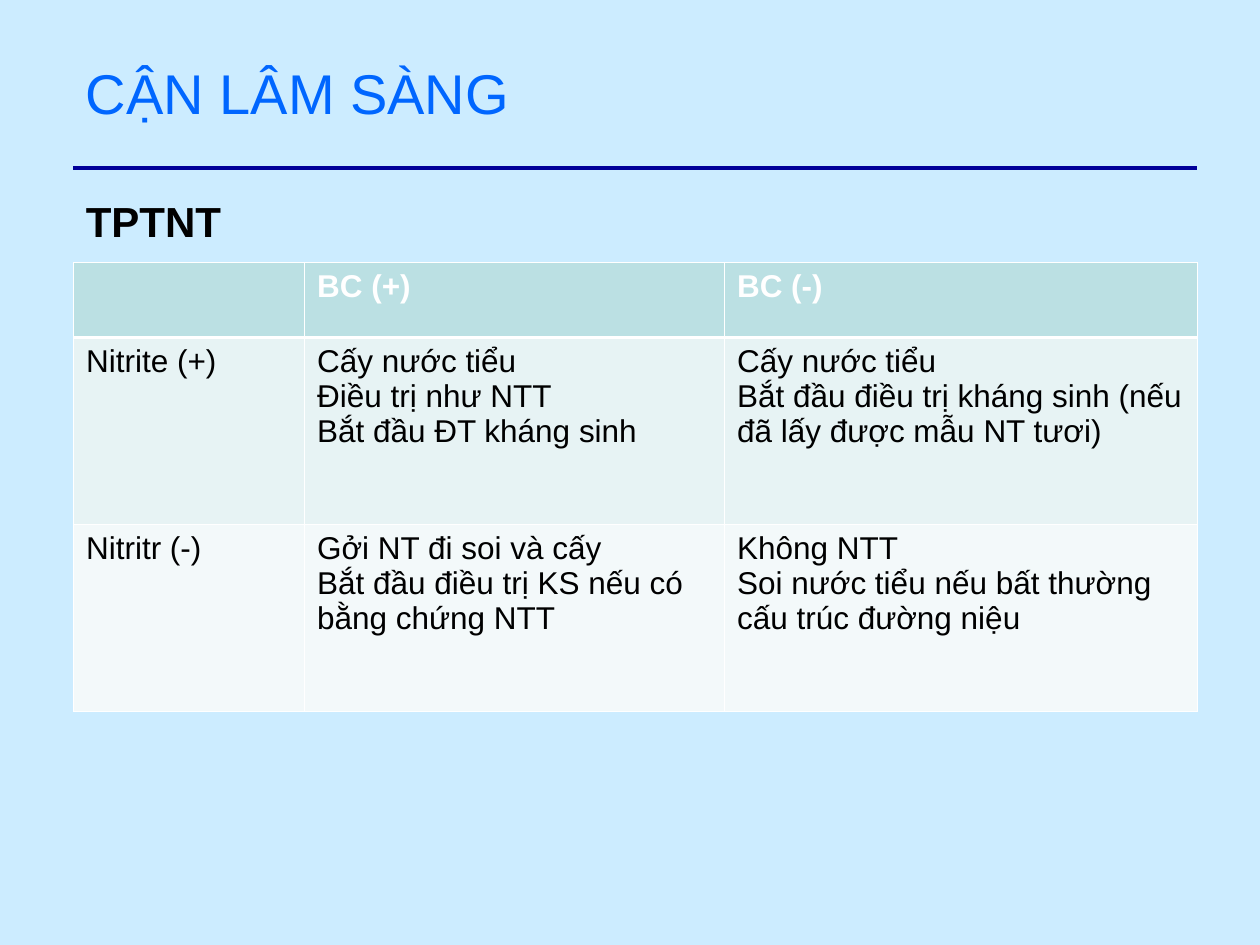
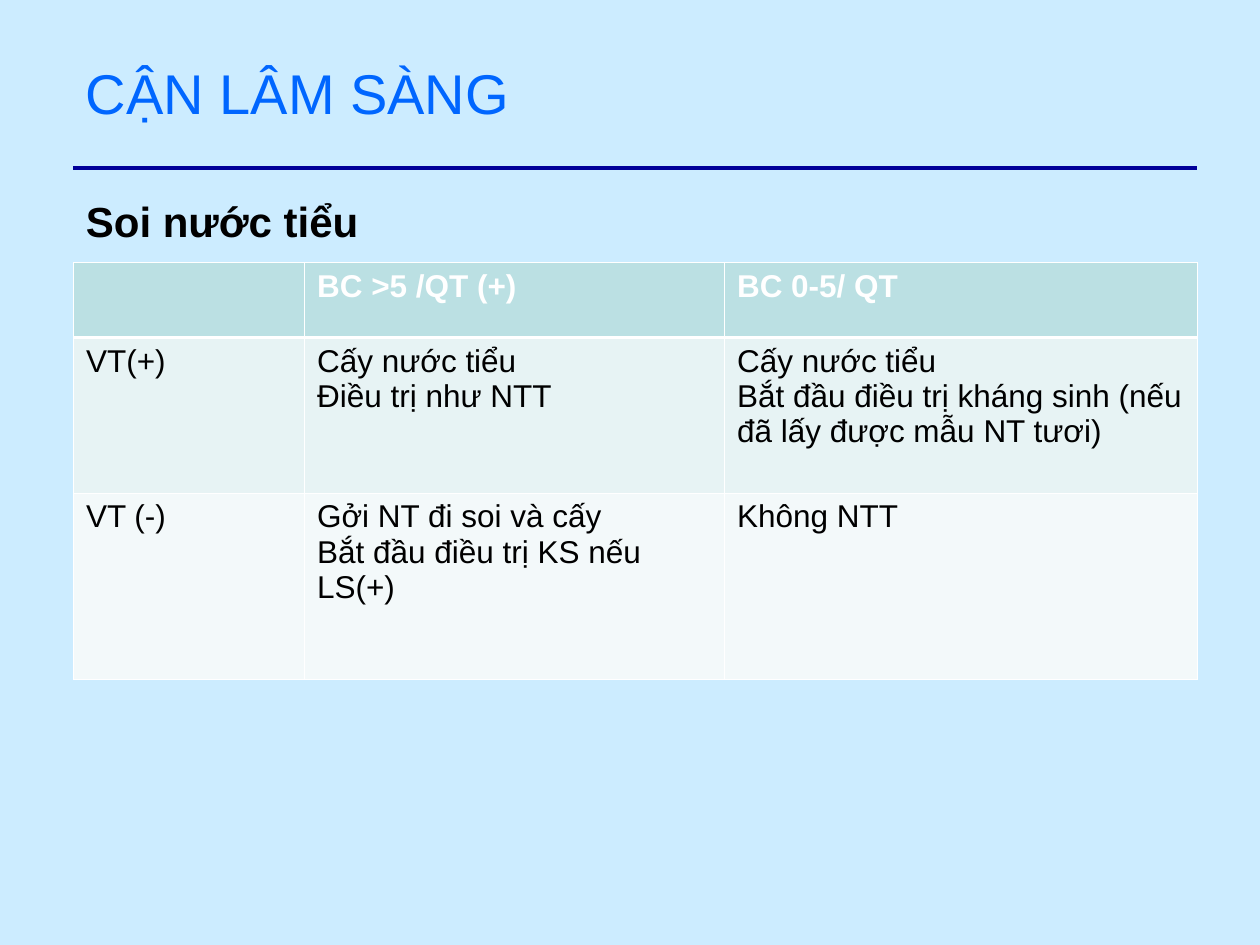
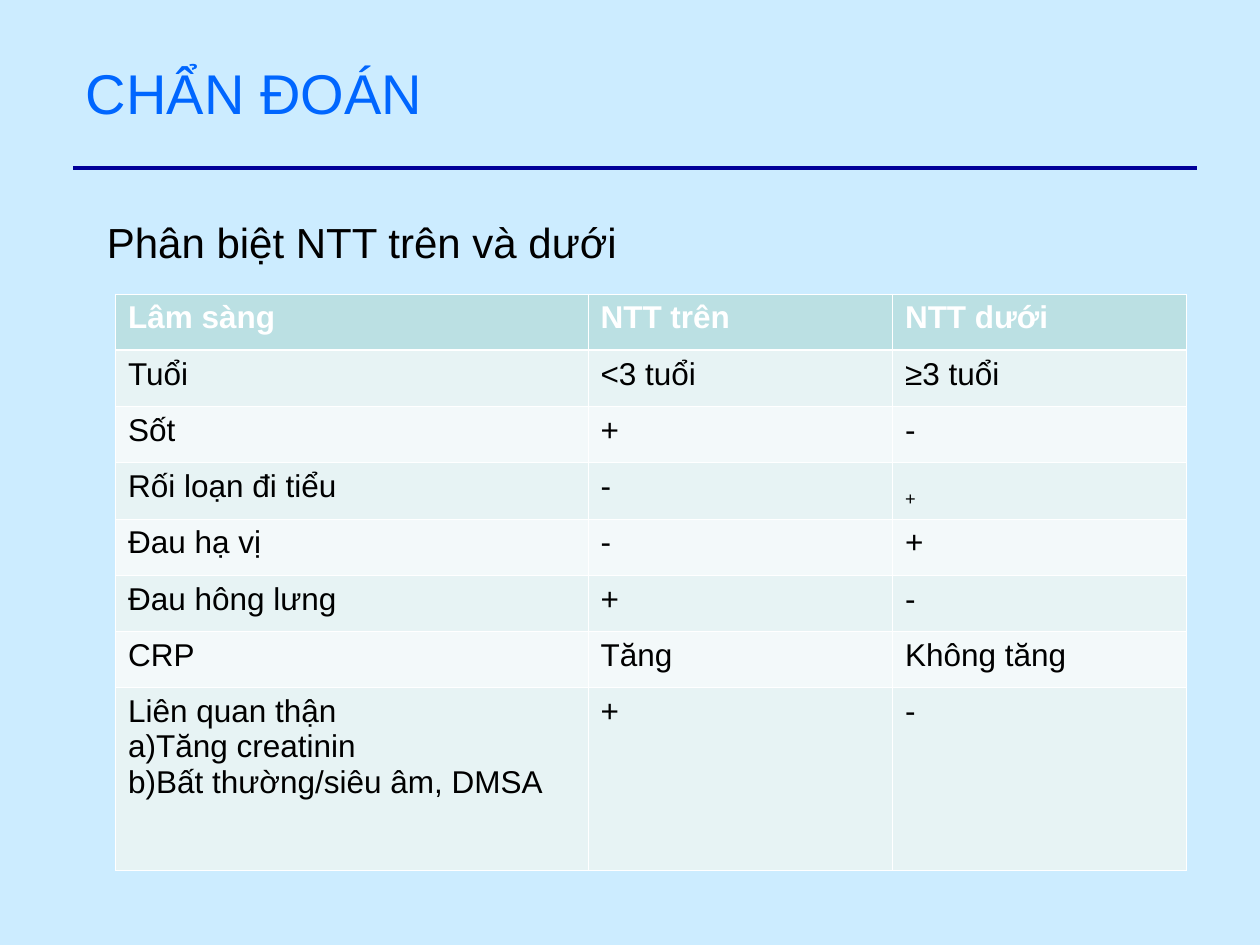
from lxml import etree
from pptx import Presentation
from pptx.dml.color import RGBColor
from pptx.enum import shapes, text
from pptx.oxml import ns
from pptx.util import Inches, Pt

# Palette and type
SKY = RGBColor(0xCC, 0xEC, 0xFF)
NAVY = RGBColor(0x00, 0x00, 0x99)
BLUE = RGBColor(0x00, 0x66, 0xFF)
BLACK = RGBColor(0x00, 0x00, 0x00)
WHITE = RGBColor(0xFF, 0xFF, 0xFF)
TEAL = RGBColor(0xBB, 0xE0, 0xE3)
BANDS = (RGBColor(0xE7, 0xF3, 0xF4), RGBColor(0xF3, 0xF9, 0xFA))
FONT = "Arial"
THIN, THICK = 0.5, 1.5

# Grid: 120 columns by 90 rows, twelve to the inch
LEFT, RIGHT = 7, 114
RULE_ROW = 16
TITLE_BOX = (LEFT, 5, 102, 7.7)
LAB_COLUMNS = (22, 40, 45)
LAB_TABLE_AT = (LEFT, 25)
SUBSCRIPT = {(3, 2)}

URINALYSIS = [
    ["", "BC (+)", "BC (-)"],
    ["Nitrite (+)",
     "Cấy nước tiểu\nĐiều trị như NTT\nBắt đầu ĐT kháng sinh",
     "Cấy nước tiểu\nBắt đầu điều trị kháng sinh (nếu đã lấy được mẫu NT tươi)"],
    ["Nitritr (-)",
     "Gởi NT đi soi và cấy\nBắt đầu điều trị KS nếu có bằng chứng NTT",
     "Không NTT\nSoi nước tiểu nếu bất thường cấu trúc đường niệu"],
]
MICROSCOPY = [
    ["", "BC >5 /QT (+)", "BC 0-5/ QT"],
    ["VT(+)",
     "Cấy nước tiểu\nĐiều trị như NTT",
     "Cấy nước tiểu\nBắt đầu điều trị kháng sinh (nếu đã lấy được mẫu NT tươi)"],
    ["VT (-)",
     "Gởi NT đi soi và cấy\nBắt đầu điều trị KS nếu LS(+)",
     "Không NTT"],
]
DIAGNOSIS = [
    ["Lâm sàng", "NTT trên", "NTT dưới"],
    ["Tuổi", "<3 tuổi", "≥3 tuổi"],
    ["Sốt", "+", "-"],
    ["Rối loạn đi tiểu", "-", "+"],
    ["Đau hạ vị", "-", "+"],
    ["Đau hông lưng", "+", "-"],
    ["CRP", "Tăng", "Không tăng"],
    ["Liên quan thận\na)Tăng creatinin\nb)Bất thường/siêu âm, DMSA", "+", "-"],
]


def grid(*units):
    return [Inches(unit / 12) for unit in units]


def style_text(text_frame, size, color, bold=False):
    for paragraph in text_frame.paragraphs:
        font = paragraph.font
        font.name, font.size, font.bold = FONT, Pt(size), bold
        font.color.rgb = color
        for run in paragraph.runs:
            run.font.name, run.font.size, run.font.bold = FONT, Pt(size), bold
            run.font.color.rgb = color


def add_text(slide, box, words, size, color, bold=False):
    text_frame = slide.shapes.add_textbox(*grid(*box)).text_frame
    text_frame.word_wrap = True
    text_frame.vertical_anchor = text.MSO_ANCHOR.TOP
    text_frame.text = words
    style_text(text_frame, size, color, bold)


def add_base(presentation, title):
    """Background, rule and title shared by every slide."""
    slide = presentation.slides.add_slide(presentation.slide_layouts[6])
    slide.background.fill.solid()
    slide.background.fill.fore_color.rgb = SKY
    rule = slide.shapes.add_connector(
        shapes.MSO_CONNECTOR.STRAIGHT, *grid(LEFT, RULE_ROW, RIGHT, RULE_ROW))
    rule.line.color.rgb = NAVY
    rule.line.width = Pt(2.25)
    etree.SubElement(rule._element.spPr, ns.qn("a:effectLst"))
    add_text(slide, TITLE_BOX, title, 32, BLUE)
    return slide


def set_borders(cell, top, bottom):
    properties = cell._tc.get_or_add_tcPr()
    for side, width in (("L", THIN), ("R", THIN), ("T", top), ("B", bottom)):
        line = etree.SubElement(properties, ns.qn(f"a:ln{side}"), w=str(Pt(width)))
        fill = etree.SubElement(line, ns.qn("a:solidFill"))
        etree.SubElement(fill, ns.qn("a:srgbClr"), val=str(WHITE))


def add_table(slide, at, columns, rows, content, subscript=()):
    frame = slide.shapes.add_table(
        len(rows), len(columns), *grid(*at, sum(columns), sum(rows)))
    table = frame.table
    for column, width in zip(table.columns, grid(*columns)):
        column.width = width
    for row, height in zip(table.rows, grid(*rows)):
        row.height = height
    for r, values in enumerate(content):
        header = r == 0
        for c, value in enumerate(values):
            cell = table.cell(r, c)
            # The line under the header is heavier
            set_borders(cell, THICK if r == 1 else THIN, THICK if header else THIN)
            cell.fill.solid()
            cell.fill.fore_color.rgb = TEAL if header else BANDS[(r - 1) % 2]
            cell.text_frame.text = value
            style_text(cell.text_frame, 18, WHITE if header else BLACK, header)
            if (r, c) in subscript:
                run = cell.text_frame.paragraphs[0].runs[0]
                run._r.get_or_add_rPr().set("baseline", "-25000")


def add_lab_slide(presentation, test, test_width, rows, content):
    slide = add_base(presentation, "CẬN LÂM SÀNG")
    add_table(slide, LAB_TABLE_AT, LAB_COLUMNS, rows, content)
    add_text(slide, (LEFT, 18, test_width, 6), test, 24, BLACK, bold=True)


def add_diagnosis_slide(presentation):
    slide = add_base(presentation, "CHẨN ĐOÁN")
    rows = [5.36] * 7 + [17.4]
    add_table(slide, (11, 28), (45, 29, 28), rows, DIAGNOSIS, SUBSCRIPT)
    add_text(slide, (9, 20, 84, 6), "Phân biệt NTT trên và dưới", 24, BLACK)


def main():
    presentation = Presentation()
    presentation.slide_width, presentation.slide_height = grid(120, 90)
    add_lab_slide(presentation, "TPTNT", 23, (7.15, 17.8, 17.8), URINALYSIS)
    add_lab_slide(presentation, "Soi nước tiểu", 32, (7.15, 14.8, 17.8), MICROSCOPY)
    add_diagnosis_slide(presentation)
    presentation.save("out.pptx")


if __name__ == "__main__":
    main()
